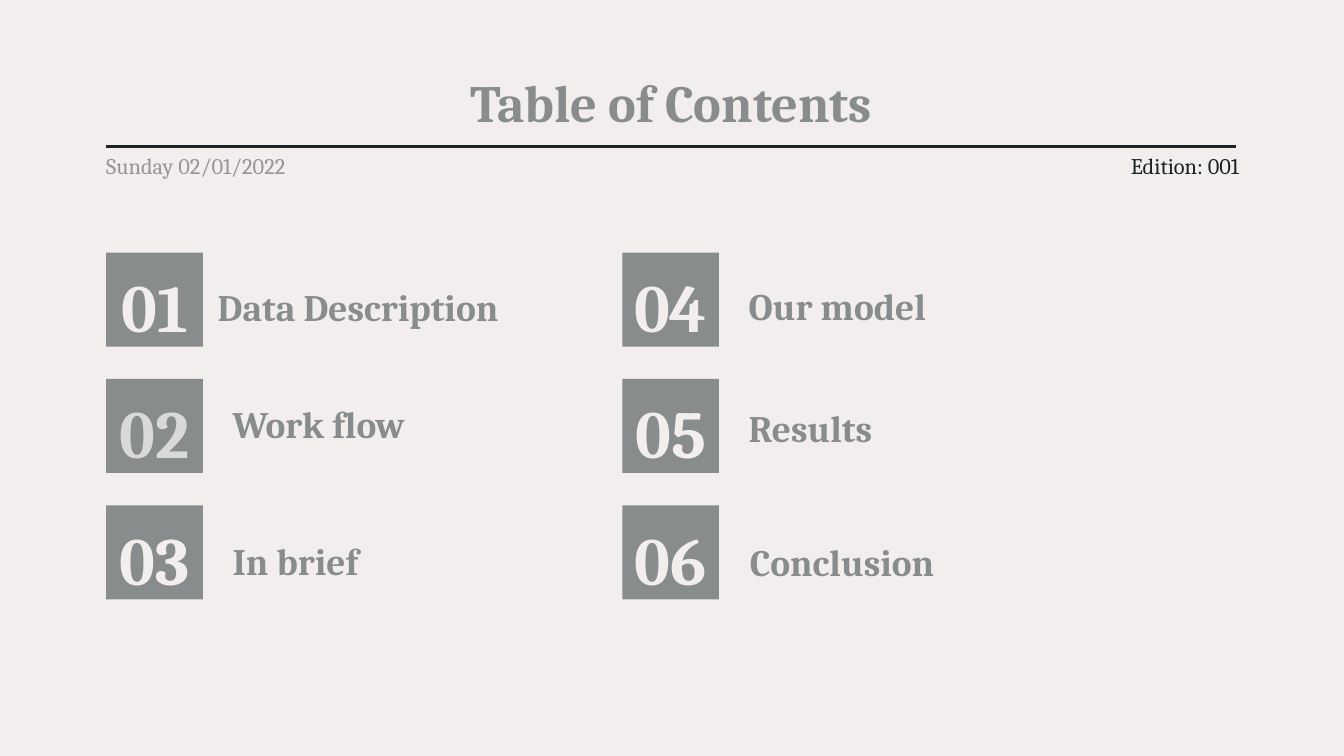
from dataclasses import dataclass

import pptx
import pptx.dml.color
import pptx.enum.shapes
import pptx.enum.text
import pptx.oxml
import pptx.shapes.base
import pptx.slide
import pptx.util
from pptx.util import Inches

Align = pptx.enum.text.PP_ALIGN


@dataclass(frozen=True)
class Theme:
    font: str = "Cambria"
    background: str = "F1EEED"
    gray: str = "888C8C"
    date: str = "959595"
    dark: str = "1C2226"
    muted_number: str = "D9D9D9"
    title_size: int = 28
    number_size: int = 36
    label_size: int = 20
    caption_size: int = 12
    rule_width: float = 1.5


@dataclass(frozen=True)
class Box:
    left: float
    top: float
    width: float
    height: float


@dataclass(frozen=True)
class TextStyle:
    size: int
    color: str
    bold: bool = True
    align: Align = Align.LEFT
    line_spacing: float = 1.0


@dataclass(frozen=True)
class Entry:
    label: str
    label_left: float
    label_top: float
    number_color: str


THEME = Theme()
COLUMN_LEFTS = (0.79, 4.63)
ROWS = 3
FIRST_ROW_TOP = 1.88
ROW_PITCH = 0.94
TILE_WIDTH, TILE_HEIGHT = 0.72, 0.7
LABEL_WIDTH, LABEL_HEIGHT = 2.65, 0.3

ENTRIES = (
    Entry("Data Description", 1.62, 2.13, THEME.background),
    Entry("Work flow", 1.73, 3.0, THEME.muted_number),
    Entry("In brief", 1.73, 4.02, THEME.background),
    Entry("Our model", 5.57, 2.12, THEME.background),
    Entry("Results", 5.57, 3.03, THEME.background),
    Entry("Conclusion", 5.58, 4.03, THEME.background),
)


def rgb(value: str) -> pptx.dml.color.RGBColor:
    return pptx.dml.color.RGBColor.from_string(value)


def lengths(box: Box) -> tuple:
    return Inches(box.left), Inches(box.top), Inches(box.width), Inches(box.height)


def write_text(shape: pptx.shapes.base.BaseShape, text: str, style: TextStyle) -> None:
    frame = shape.text_frame
    frame.text = text
    frame.word_wrap = True
    frame.vertical_anchor = pptx.enum.text.MSO_ANCHOR.MIDDLE
    frame.margin_left = frame.margin_right = Inches(0)
    frame.margin_top = frame.margin_bottom = Inches(0)
    paragraph = frame.paragraphs[0]
    paragraph.alignment = style.align
    paragraph.line_spacing = style.line_spacing
    for run in paragraph.runs:
        run.font.name = THEME.font
        run.font.size = pptx.util.Pt(style.size)
        run.font.bold = style.bold
        run.font.color.rgb = rgb(style.color)


def add_text(slide: pptx.slide.Slide, box: Box, text: str, style: TextStyle) -> None:
    write_text(slide.shapes.add_textbox(*lengths(box)), text, style)


def add_tile(slide: pptx.slide.Slide, box: Box, text: str, style: TextStyle) -> None:
    shape = slide.shapes.add_shape(pptx.enum.shapes.MSO_SHAPE.RECTANGLE, *lengths(box))
    shape.shadow.inherit = False
    shape.fill.solid()
    shape.fill.fore_color.rgb = rgb(THEME.gray)
    shape.line.fill.background()
    write_text(shape, text, style)


def add_rule(slide: pptx.slide.Slide, left: float, right: float, top: float) -> None:
    rule = slide.shapes.add_connector(
        pptx.enum.shapes.MSO_CONNECTOR.STRAIGHT,
        Inches(left), Inches(top), Inches(right), Inches(top),
    )
    rule.line.color.rgb = rgb(THEME.dark)
    rule.line.width = pptx.util.Pt(THEME.rule_width)
    rule._element.spPr.append(pptx.oxml.parse_xml(
        '<a:effectLst xmlns:a="http://schemas.openxmlformats.org/drawingml/2006/main"/>'
    ))


def add_header(slide: pptx.slide.Slide) -> None:
    add_rule(slide, 0.79, 9.2, 1.09)
    add_text(slide, Box(1.75, 0.53, 6.49, 0.46), "Table of Contents",
             TextStyle(THEME.title_size, THEME.gray, align=Align.CENTER))
    add_text(slide, Box(0.79, 1.14, 1.69, 0.19), "Sunday 02/01/2022",
             TextStyle(THEME.caption_size, THEME.date, bold=False))
    add_text(slide, Box(7.53, 1.14, 1.69, 0.19), "Edition: 001",
             TextStyle(THEME.caption_size, THEME.dark, bold=False, align=Align.RIGHT))


def add_entry(slide: pptx.slide.Slide, index: int, entry: Entry) -> None:
    column, row = divmod(index, ROWS)
    tile = Box(COLUMN_LEFTS[column], FIRST_ROW_TOP + row * ROW_PITCH, TILE_WIDTH, TILE_HEIGHT)
    add_tile(slide, tile, f"{index + 1:02d}",
             TextStyle(THEME.number_size, entry.number_color, align=Align.CENTER, line_spacing=1.15))
    add_text(slide, Box(entry.label_left, entry.label_top, LABEL_WIDTH, LABEL_HEIGHT),
             entry.label, TextStyle(THEME.label_size, THEME.gray))


def main() -> None:
    presentation = pptx.Presentation()
    presentation.slide_width = Inches(10)
    presentation.slide_height = Inches(10 * 9 / 16)
    slide = presentation.slides.add_slide(presentation.slide_layouts[6])
    slide.background.fill.solid()
    slide.background.fill.fore_color.rgb = rgb(THEME.background)
    add_header(slide)
    for index, entry in enumerate(ENTRIES):
        add_entry(slide, index, entry)
    presentation.save("out.pptx")


if __name__ == "__main__":
    main()
